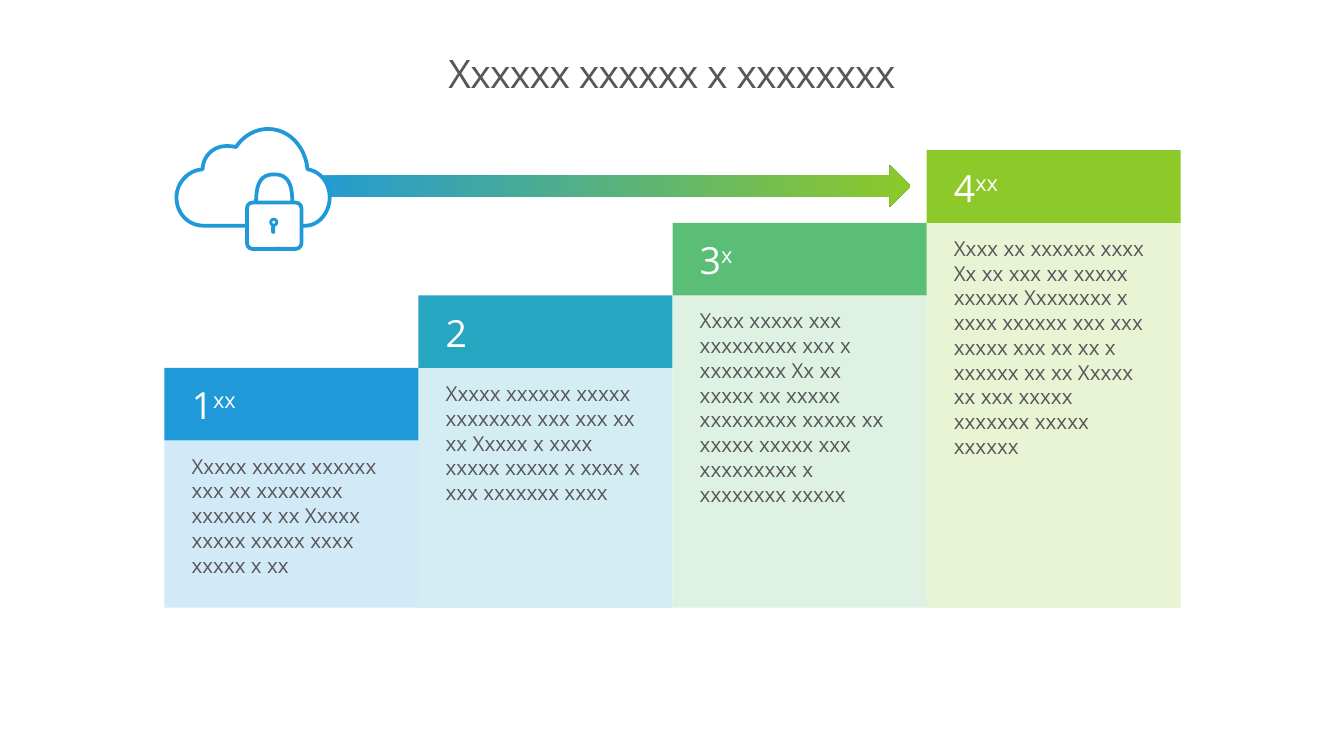
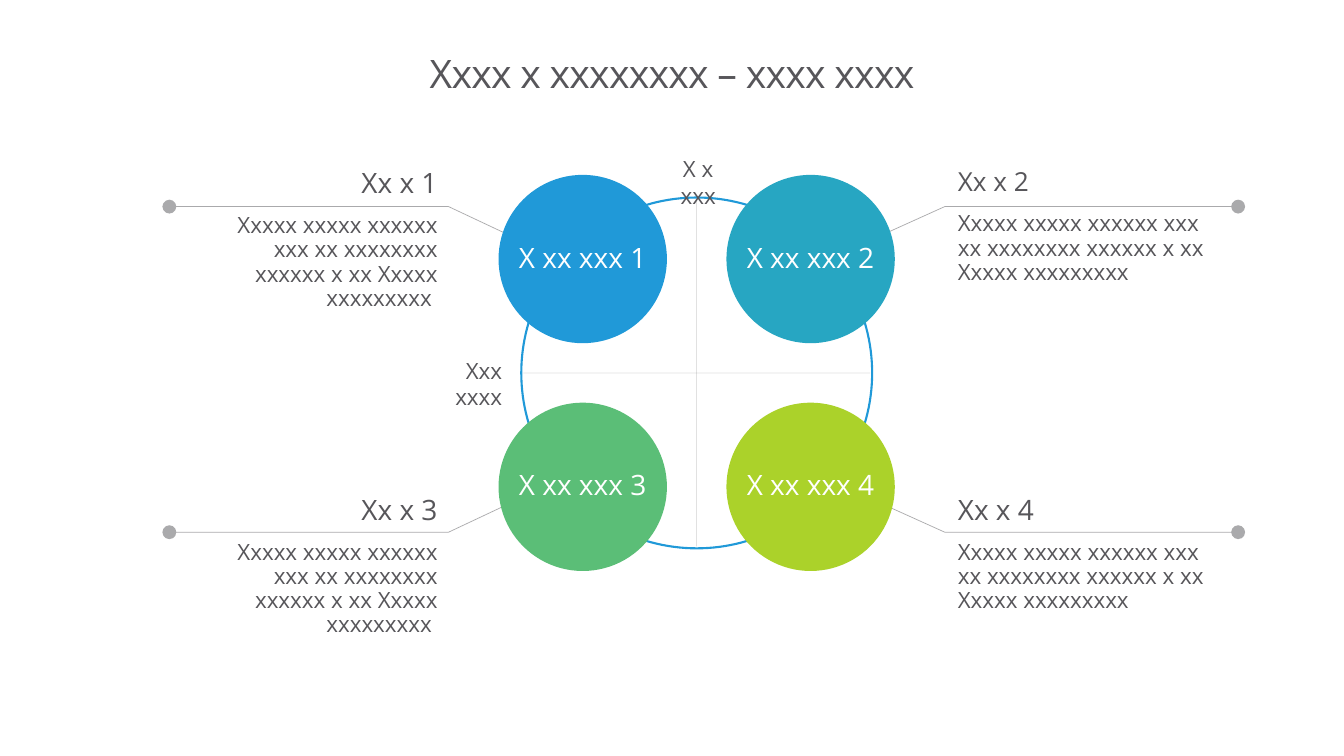
from dataclasses import dataclass

from lxml import etree
from pptx import Presentation
from pptx.dml.color import RGBColor
from pptx.enum.shapes import MSO_CONNECTOR, MSO_SHAPE
from pptx.enum.text import MSO_ANCHOR, PP_ALIGN
from pptx.oxml.ns import qn
from pptx.util import Inches, Pt

RECT, OVAL, DONUT = MSO_SHAPE.RECTANGLE, MSO_SHAPE.OVAL, MSO_SHAPE.DONUT
ROUNDED, ARROW = MSO_SHAPE.ROUNDED_RECTANGLE, MSO_SHAPE.RIGHT_ARROW
STRAIGHT = MSO_CONNECTOR.STRAIGHT
TOP, MIDDLE, BOTTOM = MSO_ANCHOR.TOP, MSO_ANCHOR.MIDDLE, MSO_ANCHOR.BOTTOM
LEFT, CENTER, RIGHT = PP_ALIGN.LEFT, PP_ALIGN.CENTER, PP_ALIGN.RIGHT


@dataclass(frozen=True)
class Theme:
    font: str = "Open Sans"
    ink: str = "57565A"
    white: str = "FFFFFF"
    blue: str = "2099D8"
    teal: str = "27A6C2"
    green: str = "5BBE77"
    leaf: str = "8DC928"
    lime: str = "ABD22A"
    title: float = 28
    number: float = 26.7
    step: float = 14.7
    heading: float = 20
    heading_small: float = 18.7
    body: float = 16


T = Theme()

STEPS_TITLE = "Xxxxxx xxxxxx x xxxxxxxx"
STEPS = [
    ("1", "xx", T.blue, "Xxxxx xxxxx xxxxxx xxx xx xxxxxxxx xxxxxx x xx Xxxxx xxxxx xxxxx xxxx xxxxx x xx"),
    ("2", "", T.teal, "Xxxxx xxxxxx xxxxx xxxxxxxx xxx xxx xx xx Xxxxx x xxxx xxxxx xxxxx x xxxx x "
                      "xxx xxxxxxx xxxx"),
    ("3", "x", T.green, "Xxxx xxxxx xxx xxxxxxxxx xxx x xxxxxxxx Xx xx xxxxx xx xxxxx xxxxxxxxx xxxxx xx "
                        "xxxxx xxxxx xxx xxxxxxxxx x xxxxxxxx xxxxx"),
    ("4", "xx", T.leaf, "Xxxx xx xxxxxx xxxx Xx xx xxx xx xxxxx xxxxxx Xxxxxxxx x xxxx xxxxxx xxx xxx "
                        "xxxxx xxx xx xx x xxxxxx xx xx Xxxxx xx xxx xxxxx xxxxxxx xxxxx xxxxxx"),
]
CLOUD = [
    (2.02, 2.24),
    (1.87, 2.24), (1.75, 2.12), (1.75, 1.96),
    (1.75, 1.82), (1.86, 1.69), (2.01, 1.68),
    (2.01, 1.55), (2.12, 1.45), (2.24, 1.45),
    (2.27, 1.45), (2.31, 1.45), (2.34, 1.46),
    (2.42, 1.34), (2.54, 1.28), (2.66, 1.28),
    (2.87, 1.28), (3.03, 1.46), (3.05, 1.68),
    (3.18, 1.7), (3.27, 1.82), (3.27, 1.96),
    (3.27, 2.11), (3.16, 2.24), (3.03, 2.24),
]
SHACKLE = [
    (2.54, 2.01),
    (2.54, 1.83), (2.58, 1.73), (2.72, 1.73),
    (2.86, 1.73), (2.9, 1.83), (2.9, 2.01),
]

CYCLE_TITLE = "Xxxx x xxxxxxxx – xxxx xxxx"
NOTE = "Xxxxx xxxxx xxxxxx xxx xx xxxxxxxx xxxxxx x xx Xxxxx xxxxxxxxx"
QUADRANTS = [
    ("X xx xxx 1", "Xx x 1", T.blue, T.heading),
    ("X xx xxx 2", "Xx x 2", T.teal, T.heading_small),
    ("X xx xxx 3", "Xx x 3", T.green, T.heading),
    ("X xx xxx 4", "Xx x 4", T.lime, T.heading),
]
SIDES = [
    {"dir": -1, "line_x": (5.15, 4.45, 1.68), "text_x": 1.98, "text_w": 2.49, "align": RIGHT, "note": NOTE + " "},
    {"dir": 1, "line_x": (8.64, 9.37, 12.28), "text_x": 9.37, "text_w": 2.75, "align": LEFT, "note": NOTE},
]
ROWS = [
    {"dir": -1, "line_y": (2.38, 2.05, 2.05), "text_y": 1.63},
    {"dir": 1, "line_y": (4.95, 5.28, 5.28), "text_y": 4.87},
]
AXIS_LABELS = [
    ("Xxx xxxx", (4.17, 3.49, 0.81, 0.37), RIGHT),
    ("X x xxx", (6.59, 1.49, 0.67, 0.37), CENTER),
]


def rgb(color):
    return RGBColor.from_string(color)


def fade(shape, percent):
    for color in shape._element.spPr.iter(qn("a:srgbClr")):
        etree.SubElement(color, qn("a:alpha")).set("val", str(percent * 1000))


def paint(shape, fill=None, line=None, width=0.5):
    shape.shadow.inherit = False
    if fill:
        shape.fill.solid()
        shape.fill.fore_color.rgb = rgb(fill)
    else:
        shape.fill.background()
    if line:
        shape.line.color.rgb = rgb(line)
        shape.line.width = Pt(width)
    else:
        shape.line.fill.background()
    return shape


def add(s, kind, box, **style):
    return paint(s.shapes.add_shape(kind, *map(Inches, box)), **style)


def outline(s, points, closed=False, **style):
    xy = [(Inches(x), Inches(y)) for x, y in points]
    builder = s.shapes.build_freeform(*xy[0], scale=1.0)
    builder.add_line_segments(xy[1:], close=closed)
    return paint(builder.convert_to_shape(), **style)


def curve(points, parts=12):
    result = [points[0]]
    for i in range(0, len(points) - 1, 3):
        a, b, c, d = points[i:i + 4]
        for t in (k / parts for k in range(1, parts + 1)):
            u = 1 - t
            weights = u ** 3, 3 * u * u * t, 3 * u * t * t, t ** 3
            result.append(tuple(sum(w * q[axis] for w, q in zip(weights, (a, b, c, d))) for axis in (0, 1)))
    return result


def write(shape, lines, color=T.ink, align=LEFT, anchor=TOP, inset=(0, 0), spacing=1.0, before=0, wrap=True):
    tf = shape.text_frame
    tf.word_wrap = wrap
    tf.vertical_anchor = anchor
    tf.margin_left = tf.margin_right = Inches(inset[0])
    tf.margin_top = tf.margin_bottom = Inches(inset[1])
    tf.text = "\n".join(text for text, size in lines)
    for i, (p, (text, size)) in enumerate(zip(tf.paragraphs, lines)):
        p.alignment = align
        p.line_spacing = spacing
        if i:
            p.space_before = Pt(before)
        for r in p.runs:
            style(r, size, color)
    return tf


def style(r, size, color):
    r.font.name = T.font
    r.font.size = Pt(size)
    r.font.color.rgb = rgb(color)


def textbox(s, box, lines, **layout):
    return write(s.shapes.add_textbox(*map(Inches, box)), lines, **layout)


def new_slide(prs, title):
    s = prs.slides.add_slide(prs.slide_layouts[6])
    tf = textbox(s, (1, 0.31, 11.33, 0.89), [(title, T.title)], align=CENTER, anchor=MIDDLE, spacing=0.86)
    tf.paragraphs[0].runs[0]._r.get_or_add_rPr().set("spc", "-50")
    return s


def draw_cloud_lock(s):
    pen = {"line": T.blue, "width": 2.7}
    outline(s, curve(CLOUD), closed=True, fill=T.white, **pen)
    outline(s, curve(SHACKLE), fill=T.white, **pen)
    body = add(s, ROUNDED, (2.45, 2.01, 0.54, 0.46), fill=T.white, **pen)
    body.adjustments[0] = 0.12
    ring = add(s, DONUT, (2.67, 2.16, 0.09, 0.09), fill=T.blue)
    ring.adjustments[0] = 0.33
    stem = add(s, ROUNDED, (2.69, 2.23, 0.04, 0.09), fill=T.blue)
    stem.adjustments[0] = 0.5


def steps_slide(prs):
    s = new_slide(prs, STEPS_TITLE)
    arrow = add(s, ARROW, (2.95, 1.64, 6.08, 0.41))
    arrow.fill.gradient()
    arrow.fill.gradient_angle = 0
    for stop, color, position in zip(arrow.fill.gradient_stops, (T.blue, T.leaf), (0, 1)):
        stop.color.rgb = rgb(color)
        stop.position = position
    draw_cloud_lock(s)

    left, first_top, bottom, width, rise = 1.63, 3.65, 6.03, 2.52, 0.72
    inset = (0.27, 0.13)
    for i, (number, suffix, color, text) in enumerate(STEPS):
        x, y = left + i * width, first_top - i * rise
        head = add(s, RECT, (x, y, width, rise), fill=color)
        tf = write(head, [(number, T.number)], color=T.white, anchor=BOTTOM, inset=inset)
        if suffix:
            r = tf.paragraphs[0].add_run()
            r.text = suffix
            style(r, T.number, T.white)
            r._r.get_or_add_rPr().set("baseline", "30000")
        panel = add(s, RECT, (x, y + rise, width, bottom - y - rise), fill=color)
        fade(panel, 20)
        write(panel, [(text, T.step)], inset=inset)


def cycle_slide(prs):
    s = new_slide(prs, CYCLE_TITLE)
    cx, cy, ring, reach, offset, ball = 6.91, 3.7, 1.74, 1.72, 1.13, 1.67
    cells = [(row, side) for row in ROWS for side in SIDES]

    for row, side in cells:
        leader = outline(s, list(zip(side["line_x"], row["line_y"])), line=T.ink)
        fade(leader, 50)
        tail = etree.SubElement(leader.line._get_or_add_ln(), qn("a:tailEnd"))
        for key, value in (("type", "oval"), ("w", "lg"), ("len", "lg")):
            tail.set(key, value)

    add(s, OVAL, (cx - ring, cy - ring, 2 * ring, 2 * ring), line=T.blue, width=1.5)
    for (row, side), (label, heading, color, size) in zip(cells, QUADRANTS):
        x = cx + side["dir"] * offset - ball / 2
        y = cy + row["dir"] * offset - ball / 2
        disc = add(s, OVAL, (x, y, ball, ball), fill=color)
        write(disc, [(label, T.heading)], color=T.white, align=CENTER, anchor=MIDDLE, spacing=0.9, wrap=False)
        textbox(s, (side["text_x"], row["text_y"], side["text_w"], 1.29),
                [(heading, size), (side["note"], T.body)],
                align=side["align"], inset=(0.13, 0.05), spacing=0.9, before=10.7)

    for dx, dy in ((0, reach), (reach, 0)):
        axis = s.shapes.add_connector(STRAIGHT, *map(Inches, (cx - dx, cy - dy, cx + dx, cy + dy)))
        axis.line.color.rgb = rgb(T.ink)
        axis.line.width = Pt(0.25)
        fade(axis, 50)
        etree.SubElement(axis._element.spPr, qn("a:effectLst"))
    for text, box, align in AXIS_LABELS:
        textbox(s, box, [(text, T.body)], align=align, inset=(0, 0.05))


def main():
    prs = Presentation()
    prs.slide_width, prs.slide_height = Inches(13.33), Inches(7.5)
    steps_slide(prs)
    cycle_slide(prs)
    prs.save("out.pptx")


if __name__ == "__main__":
    main()
